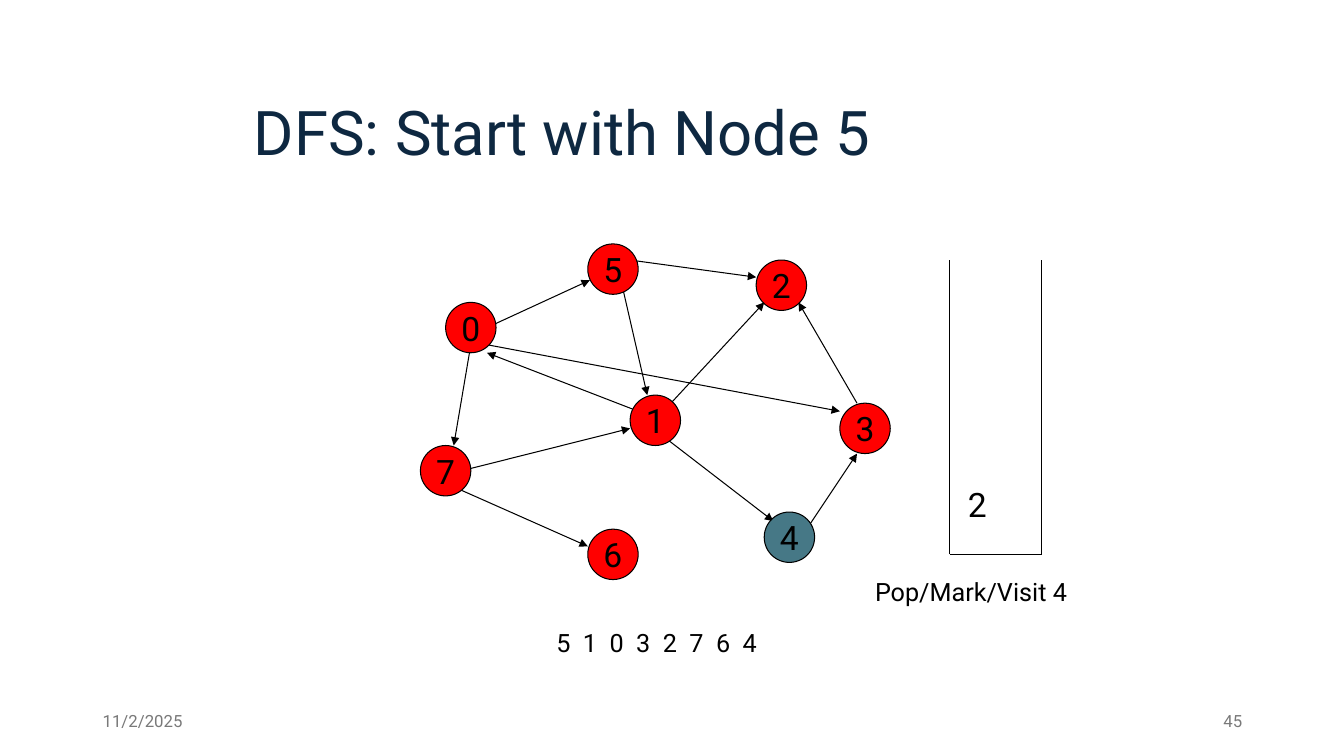
from pptx import Presentation
from pptx.dml.color import RGBColor
from pptx.enum.shapes import MSO_CONNECTOR, MSO_SHAPE
from pptx.enum.text import MSO_ANCHOR, PP_ALIGN
from pptx.oxml.ns import qn
from pptx.util import Inches, Pt
from lxml.etree import SubElement

COLORS = {"title": "0E2841", "ink": "000000", "visited": "FF0000",
          "current": "467886", "footer": "797979"}
FONT = "Roboto"

# Content: node -> left, top
NODES = {"0": (4.42, 3), "7": (4.17, 4.42), "1": (6.25, 3.92), "5": (5.83, 2.42),
         "4": (7.58, 5.08), "3": (8.33, 4), "2": (7.5, 2.58), "6": (5.83, 5.25)}
NODE_SIZE = 0.5
CURRENT = "4"

# Directed edges: arrow start, arrow end
EDGES = [
    ((6.58, 4.08), (7.58, 3)),      # 1 to 2
    ((6.17, 2.83), (6.42, 3.92)),   # 5 to 1
    ((4.58, 4.67), (6.25, 4.25)),   # 7 to 1
    ((4.5, 4.83), (5.83, 5.42)),    # 7 to 6
    ((4.67, 3.42), (4.5, 4.42)),    # 0 to 7
    ((6.58, 4.33), (7.67, 5.17)),   # 1 to 4
    ((8, 5.25), (8.5, 4.5)),        # 4 to 3
    ((8.5, 4), (7.92, 3)),          # 3 to 2
    ((6.25, 2.58), (7.5, 2.75)),    # 5 to 2
    ((4.83, 3.25), (5.85, 2.78)),   # 0 to 5
    ((4.83, 3.42), (8.33, 4.08)),   # 0 to 3
    ((6.33, 4.08), (4.83, 3.5)),    # 1 to 0
]

VISIT_ORDER = ["5", "1", "0", "3", "2", "7", "6", "4"]
VISIT_STEP = Pt(19)
STACK = {"left": 9.42, "top": 2.58, "right": 10.33, "bottom": 5.5}

# Text boxes: text, (left, top, width, height), size, colour, anchor, alignment
TEXTS = [
    ("DFS: Start with Node 5", (2.42, 0.67, 8.5, 1.25), 44, "title",
     MSO_ANCHOR.MIDDLE, PP_ALIGN.LEFT),
    ("\t".join(VISIT_ORDER), (5.42, 6.17, 2.5, 0.4), 18, "ink",
     MSO_ANCHOR.TOP, PP_ALIGN.LEFT),
    ("2", (9.5, 4.75, 0.75, 0.5), 24, "ink", MSO_ANCHOR.MIDDLE, PP_ALIGN.LEFT),
    ("Pop/Mark/Visit 4", (8.58, 5.67, 2.42, 0.4), 18, "ink",
     MSO_ANCHOR.TOP, PP_ALIGN.LEFT),
    ("11/2/2025", (0.92, 6.95, 3, 0.4), 12, "footer",
     MSO_ANCHOR.MIDDLE, PP_ALIGN.LEFT),
    ("45", (9.42, 6.95, 3, 0.4), 12, "footer", MSO_ANCHOR.MIDDLE, PP_ALIGN.RIGHT),
]

prs = Presentation()
prs.slide_width, prs.slide_height = Inches(13.33), Inches(7.5)
s = prs.slides.add_slide(prs.slide_layouts[6])


def color(name):
    return RGBColor.from_string(COLORS[name])


def write(sp, text, size, ink, anchor, align, wrap=True):
    tf = sp.text_frame
    tf.word_wrap, tf.vertical_anchor = wrap, anchor
    p = tf.paragraphs[0]
    p.alignment = align
    if "\t" in text:
        tabs = SubElement(p._p.get_or_add_pPr(), qn("a:tabLst"))
        for i in range(1, len(VISIT_ORDER)):
            SubElement(tabs, qn("a:tab"), pos=str(i * VISIT_STEP), algn="l")
    r = p.add_run()
    r.text = text
    for name, value in {"name": FONT, "size": Pt(size)}.items():
        setattr(r.font, name, value)
    r.font.color.rgb = color(ink)


def add_line(start, end, arrow=False):
    sp = s.shapes.add_connector(MSO_CONNECTOR.STRAIGHT,
                                *[Inches(v) for v in (*start, *end)])
    sp.line.color.rgb = color("ink")
    sp.line.width = Pt(0.75)
    if arrow:
        SubElement(sp.line._get_or_add_ln(), qn("a:tailEnd"), type="triangle")
    SubElement(sp._element.spPr, qn("a:effectLst"))


# Graph edges
for start, end in EDGES:
    add_line(start, end, arrow=True)

# Graph nodes
for label, (left, top) in NODES.items():
    sp = s.shapes.add_shape(MSO_SHAPE.OVAL, Inches(left), Inches(top),
                            Inches(NODE_SIZE), Inches(NODE_SIZE))
    sp.shadow.inherit = False
    sp.fill.solid()
    sp.fill.fore_color.rgb = color("current" if label == CURRENT else "visited")
    sp.line.color.rgb = color("ink")
    sp.line.width = Pt(0.75)
    write(sp, label, 24, "ink", MSO_ANCHOR.MIDDLE, PP_ALIGN.CENTER, wrap=False)

# Stack, open at the top
bottom_left = (STACK["left"], STACK["bottom"])
bottom_right = (STACK["right"], STACK["bottom"])
add_line((STACK["left"], STACK["top"]), bottom_left)
add_line((STACK["right"], STACK["top"]), bottom_right)
add_line(bottom_left, bottom_right)

# Title, visit order, stack entry, caption and footer
for text, box, *style in TEXTS:
    write(s.shapes.add_textbox(*[Inches(v) for v in box]), text, *style)

prs.save("out.pptx")
